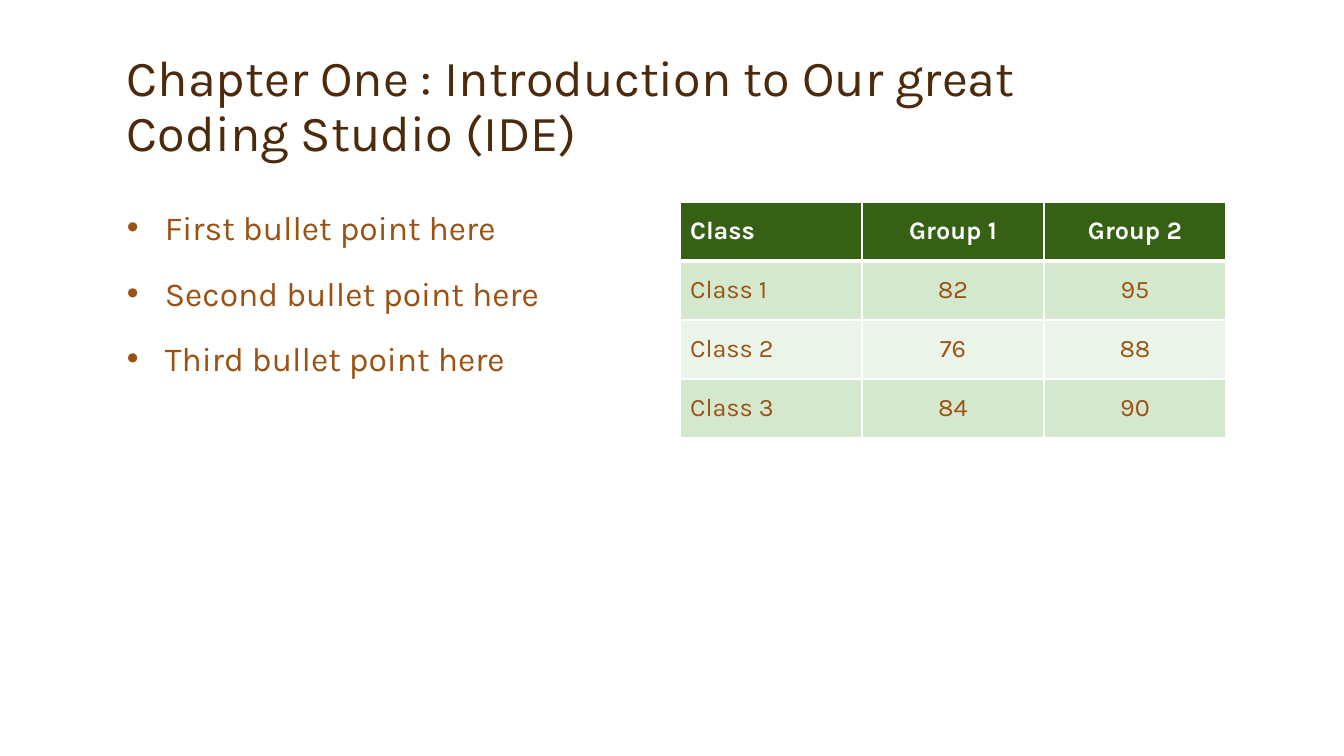
from lxml import etree
from pptx import Presentation
from pptx import util as u
from pptx.dml.color import RGBColor
from pptx.enum import text
from pptx.oxml import ns

FONT = "Karla"
BROWN, RUST, WHITE = "4D2A0B", "9A5315", "FFFFFF"
HEADER, BANDS = "366013", ("D4E8CD", "EBF4E8")

TITLE_LINES = ["Chapter One : Introduction to Our great", "Coding Studio (IDE)"]
BULLETS = ["First bullet point here", "Second bullet point here",
           "Third bullet point here"]
SCORES = [["Class", "Group 1", "Group 2"],
          ["Class 1", "82", "95"],
          ["Class 2", "76", "88"],
          ["Class 3", "84", "90"]]


def px(n):
    return u.Emu(round(n * 914400 / 100.8))


def rgb(value):
    return RGBColor.from_string(value)


def add_run(p, words, size, color, bold=False):
    r = p.add_run()
    r.text = words
    r.font.name = FONT
    r.font.size = u.Pt(size)
    r.font.bold = bold
    r.font.color.rgb = rgb(color)


def add_text_frame(s, box, anchor):
    tf = s.shapes.add_textbox(*map(px, box)).text_frame
    tf.word_wrap = True
    tf.vertical_anchor = anchor
    return tf


def add_title(s, box):
    p = add_text_frame(s, box, text.MSO_ANCHOR.BOTTOM).paragraphs[0]
    p.line_spacing = 0.9
    for i, line in enumerate(TITLE_LINES):
        if i:
            p.add_line_break()
        add_run(p, line, 36, BROWN)


def set_bullet(p, indent):
    pPr = p._p.get_or_add_pPr()
    pPr.set("marL", str(indent))
    pPr.set("indent", str(-indent))
    etree.SubElement(pPr, ns.qn("a:buFont"), typeface="Arial")
    etree.SubElement(pPr, ns.qn("a:buChar"), char="•")


def add_bullets(s, box):
    tf = add_text_frame(s, box, text.MSO_ANCHOR.TOP)
    for i, point in enumerate(BULLETS):
        p = tf.add_paragraph() if i else tf.paragraphs[0]
        p.space_before = u.Pt(18)
        set_bullet(p, px(38))
        add_run(p, point, 24, RUST)


def set_borders(cell, widths):
    """Draw white borders; widths maps a side (L, R, T, B) to points."""
    tcPr = cell._tc.get_or_add_tcPr()
    for i, (side, width) in enumerate(widths.items()):
        ln = etree.Element(ns.qn(f"a:ln{side}"), w=str(u.Pt(width)))
        fill = etree.SubElement(ln, ns.qn("a:solidFill"))
        etree.SubElement(fill, ns.qn("a:srgbClr"), val=WHITE)
        tcPr.insert(i, ln)


def add_score_table(s, box):
    rows, cols = len(SCORES), len(SCORES[0])
    table = s.shapes.add_table(rows, cols, *map(px, box)).table
    for i, row in enumerate(SCORES):
        is_header = i == 0
        for j, words in enumerate(row):
            cell = table.cell(i, j)
            cell.vertical_anchor = text.MSO_ANCHOR.MIDDLE
            cell.fill.solid()
            cell.fill.fore_color.rgb = rgb(HEADER if is_header else BANDS[(i - 1) % 2])
            set_borders(cell, {"L": 1, "R": 1, "T": 3 if i == 1 else 1,
                               "B": 3 if is_header else 1})
            p = cell.text_frame.paragraphs[0]
            p.alignment = text.PP_ALIGN.CENTER if j else text.PP_ALIGN.LEFT
            add_run(p, words, 18, WHITE if is_header else RUST, is_header)


def main():
    prs = Presentation()
    prs.slide_width, prs.slide_height = px(1344), px(756)
    s = prs.slides.add_slide(prs.slide_layouts[6])
    add_title(s, (117, 33, 1109, 134))
    add_bullets(s, (117, 202, 546, 462))
    add_score_table(s, (680, 202, 546, 236))
    prs.save("out.pptx")


if __name__ == "__main__":
    main()
